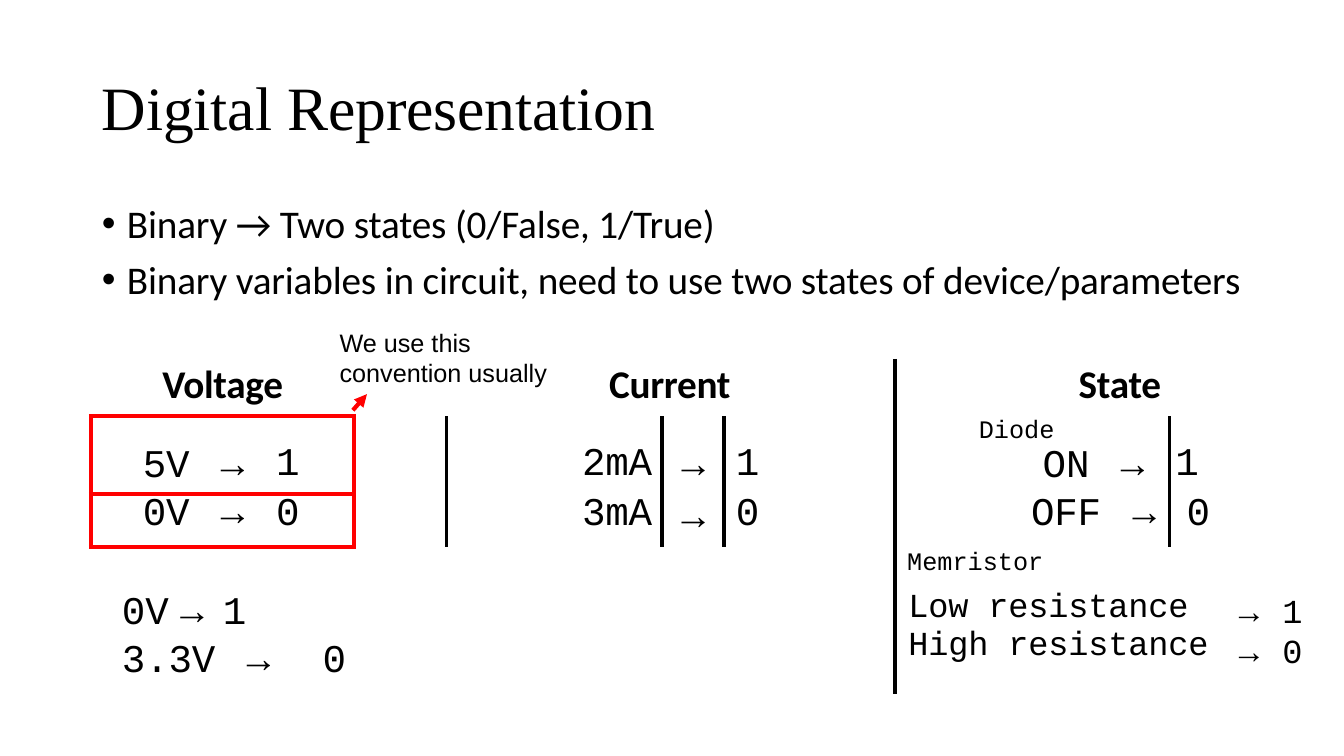
from collections import defaultdict
from dataclasses import dataclass
from itertools import groupby, product

from lxml.etree import SubElement
from pptx import Presentation
from pptx.dml.color import RGBColor
from pptx.enum.shapes import MSO_CONNECTOR as Connector
from pptx.enum.text import MSO_ANCHOR as Anchor, PP_ALIGN as Align
from pptx.oxml.ns import qn
from pptx.util import Pt

EMU_PER_PX = 9144
NO_GRID_STYLE = "{2D5ABB26-0587-4C30-8999-92F81FD0307C}"


@dataclass(frozen=True)
class Theme:
    ink: str = "000000"
    accent: str = "FF0000"
    serif: str = "Times New Roman"
    body: str = "Calibri"
    mono: str = "Courier New"
    note: str = "Arial"
    title_size: int = 44
    body_size: int = 28
    detail_size: int = 24
    note_size: int = 18
    line_width: int = 3
    letter_spacing: int = -10


THEME = Theme()
COLUMNS = (172, 89, 92, 214, 61, 170, 272, 44)
ROWS = (57, 77, 53, 146)
GROUPS = ((0, 1), (2, 5), (6, 7))
HEADINGS = (("Voltage", Align.LEFT, 71), ("Current", Align.CENTER, 90),
            ("State", Align.LEFT, 182))
STATES = (
    ("5V →", "1", "2mA", "→", "1", "ON →", "1"),
    ("0V →", "0", "3mA", "→", "0", "OFF →", "0"),
)
STATE_COLUMNS = (0, 1, 3, 4, 5, 6, 7)
STATE_ALIGNS = (Align.RIGHT, Align.LEFT, Align.RIGHT, Align.CENTER,
                Align.LEFT, Align.CENTER, Align.LEFT)
STATE_INDENTS = ((0, 12, 0, 0, 12, 129, 6), (0, 12, 0, 0, 12, 129, 17))
STATE_RIGHT_MARGINS = (12, 0, 10, 0, 0, 0, 0)


def px(value):
    return value * EMU_PER_PX


def write(paragraph, text, font, size, bold=False, align=Align.LEFT,
          indent=0, hanging=0, bullet=None, tabs=(), before=0,
          line_spacing=None, spacing=THEME.letter_spacing):
    properties = paragraph._p.get_or_add_pPr()
    properties.set("marL", str(px(indent)))
    properties.set("indent", str(px(-hanging)))
    if bullet:
        SubElement(properties, qn("a:buFont"), typeface=THEME.note)
        SubElement(properties, qn("a:buChar"), char=bullet)
    if tabs:
        tab_list = SubElement(properties, qn("a:tabLst"))
        for position in tabs:
            SubElement(tab_list, qn("a:tab"), pos=str(px(position)), algn="l")
    paragraph.alignment = align
    if before:
        paragraph.space_before = Pt(before)
    if line_spacing:
        paragraph.line_spacing = Pt(line_spacing)
    paragraph.font.name = font
    paragraph.font.size = Pt(size)
    paragraph.font.bold = bold
    paragraph.font.color.rgb = RGBColor.from_string(THEME.ink)
    properties.find(qn("a:defRPr")).set("spc", str(spacing))
    for is_arrow, characters in groupby(text, lambda character: character == "→"):
        run = paragraph.add_run()
        run.text = "".join(characters)
        if is_arrow and font == THEME.mono:
            run.font.name = THEME.note


def write_lines(frame, lines, font, size, before=0, **style):
    for index, text in enumerate(lines):
        paragraph = frame.add_paragraph() if index else frame.paragraphs[0]
        write(paragraph, text, font, size, before=before if index else 0, **style)


def add_text(slide, box, lines, font, size, margins=(10, 5, 10, 5),
             wrap=True, anchor=Anchor.TOP, **style):
    frame = slide.shapes.add_textbox(*map(px, box)).text_frame
    frame.word_wrap = wrap
    frame.vertical_anchor = anchor
    (frame.margin_left, frame.margin_top,
     frame.margin_right, frame.margin_bottom) = map(px, margins)
    write_lines(frame, lines, font, size, **style)


def fill_cell(cell, lines, font, size, top=0, right=0, **style):
    cell.margin_left = cell.margin_bottom = 0
    cell.margin_top = px(top)
    cell.margin_right = px(right)
    write_lines(cell.text_frame, lines, font, size, **style)


def plan_borders():
    borders = defaultdict(dict)

    def vertical(column, rows, color):
        for row in rows:
            borders[row, column - 1]["R"] = color
            borders[row, column]["L"] = color

    for column in (3, 4, 7):
        vertical(column, (1, 2), THEME.ink)
    vertical(6, range(len(ROWS)), THEME.ink)
    vertical(2, (1, 2), THEME.accent)
    for row in (1, 2):
        borders[row, 0]["L"] = THEME.accent
    for row, column in product((1, 2, 3), (0, 1)):
        borders[row - 1, column]["B"] = THEME.accent
        borders[row, column]["T"] = THEME.accent
    return borders


def draw_borders(cell, sides):
    properties = cell._tc.get_or_add_tcPr()
    for side in "LRTB":
        if side in sides:
            line = SubElement(properties, qn(f"a:ln{side}"),
                              w=str(Pt(THEME.line_width)))
            fill = SubElement(line, qn("a:solidFill"))
            SubElement(fill, qn("a:srgbClr"), val=sides[side])
    cell.fill.background()


def add_state_table(slide):
    frame = slide.shapes.add_table(len(ROWS), len(COLUMNS), px(90), px(356),
                                   px(sum(COLUMNS)), px(sum(ROWS)))
    table = frame.table
    table.first_row = table.horz_banding = False
    table._tbl.tblPr.find(qn("a:tableStyleId")).text = NO_GRID_STYLE
    for column, width in zip(table.columns, COLUMNS):
        column.width = px(width)
    for row, height in zip(table.rows, ROWS):
        row.height = px(height)

    borders = plan_borders()
    for row, column in product(range(len(ROWS)), range(len(COLUMNS))):
        draw_borders(table.cell(row, column), borders[row, column])
    for row, (first, last) in product((0, 3), GROUPS):
        table.cell(row, first).merge(table.cell(row, last))

    for (first, _), (heading, align, indent) in zip(GROUPS, HEADINGS):
        fill_cell(table.cell(0, first), [heading], THEME.body, THEME.body_size,
                  top=2, bold=True, align=align, indent=indent, spacing=-20)
    for row, texts, indents, top, line_spacing in zip(
            (1, 2), STATES, STATE_INDENTS, (26, 0), (None, 31)):
        for column, text, align, indent, right in zip(
                STATE_COLUMNS, texts, STATE_ALIGNS, indents, STATE_RIGHT_MARGINS):
            fill_cell(table.cell(row, column), [text], THEME.mono, THEME.body_size,
                      top=top, right=right, align=align, indent=indent,
                      line_spacing=line_spacing)

    voltage_cell = table.cell(3, 0)
    fill_cell(voltage_cell, ["0V\t→\t1"], THEME.mono, THEME.body_size,
              top=42, indent=31, tabs=(147, 209))
    write(voltage_cell.text_frame.add_paragraph(), "3.3V →\t0", THEME.mono,
          THEME.body_size, indent=31, tabs=(209,))
    fill_cell(table.cell(3, 6), ["Low resistance", "High resistance"],
              THEME.mono, THEME.detail_size, top=42, indent=13)


def add_arrow(slide, start, end):
    arrow = slide.shapes.add_connector(Connector.STRAIGHT, *map(px, start + end))
    arrow.line.color.rgb = RGBColor.from_string(THEME.accent)
    arrow.line.width = Pt(THEME.line_width)
    SubElement(arrow.line._get_or_add_ln(), qn("a:tailEnd"), type="triangle")
    SubElement(arrow._element.spPr, qn("a:effectLst"))


def main():
    presentation = Presentation()
    presentation.slide_width = px(1333)
    presentation.slide_height = px(750)
    slide = presentation.slides.add_slide(presentation.slide_layouts[6])

    add_text(slide, (890, 536, 156, 40), ["Memristor"], THEME.mono,
             THEME.note_size, wrap=False, spacing=0)
    add_text(slide, (961, 405, 96, 40), ["Diode"], THEME.mono,
             THEME.note_size, wrap=False, spacing=0)
    add_text(slide, (100, 67, 838, 76), ["Digital Representation"], THEME.serif,
             THEME.title_size, margins=(0, 1, 0, 0), anchor=Anchor.MIDDLE, indent=1)
    add_text(slide, (100, 188, 1144, 113),
             ["Binary → Two states (0/False, 1/True)",
              "Binary variables in circuit, need to use two states of device/parameters"],
             THEME.body, THEME.body_size, margins=(0, 10, 0, 0), indent=26,
             hanging=25, bullet="•", tabs=(26,), before=6.2)
    add_state_table(slide)
    add_text(slide, (1221, 584, 75, 83), ["→\t1", "→\t0"], THEME.mono,
             THEME.detail_size, margins=(0, 1, 0, 0), indent=1, tabs=(54,), spacing=0)
    add_text(slide, (327, 320, 234, 71), ["We use this convention usually"],
             THEME.note, THEME.note_size, spacing=0)
    add_arrow(slide, (350, 407), (364, 391))
    presentation.save("out.pptx")


if __name__ == "__main__":
    main()
